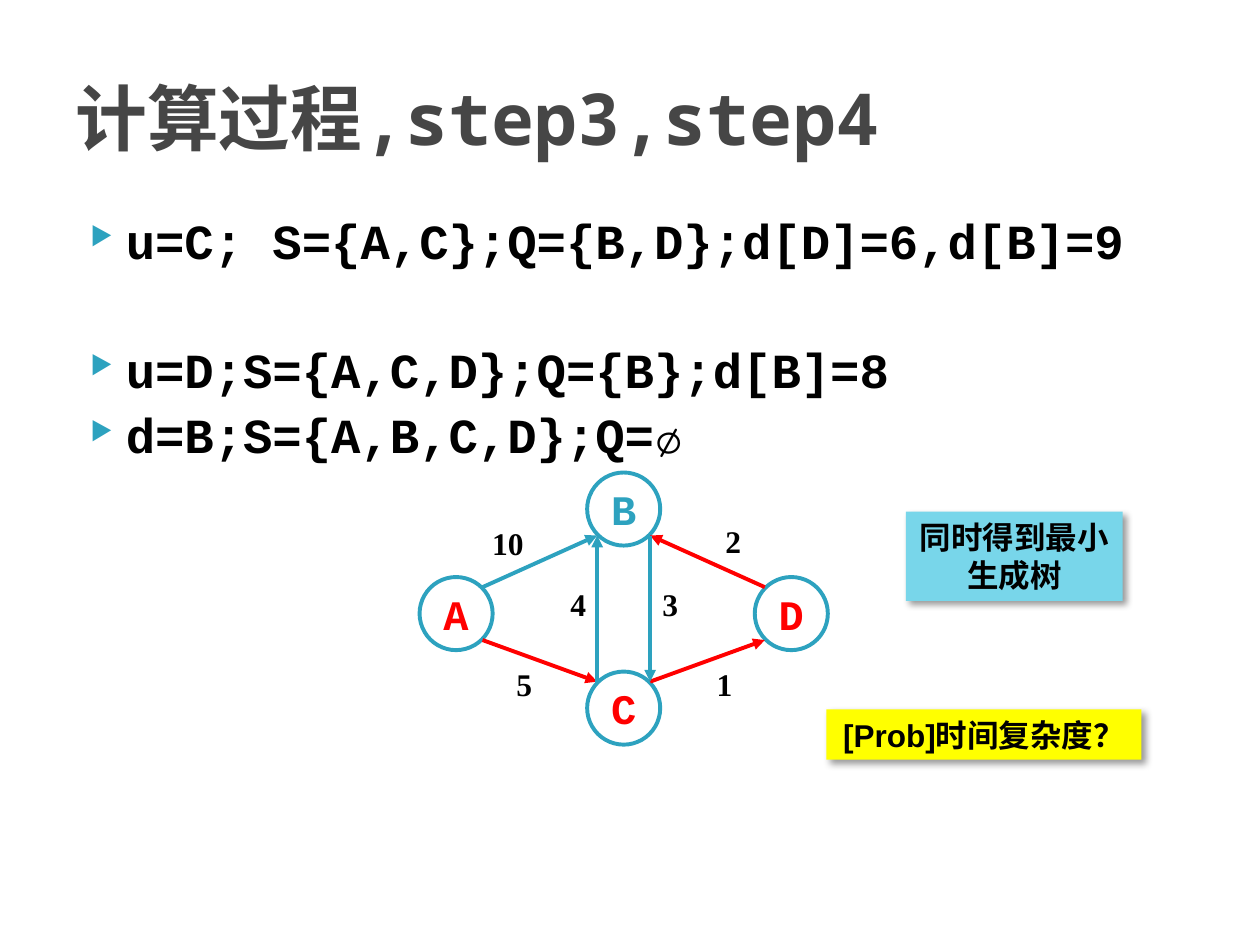
import pptx
import pptx.dml.color
import pptx.enum.shapes
import pptx.enum.text
import pptx.oxml
import pptx.oxml.ns
import pptx.util

Inches, Pt = pptx.util.Inches, pptx.util.Pt
RGBColor = pptx.dml.color.RGBColor
SHAPE = pptx.enum.shapes.MSO_SHAPE
ANCHOR = pptx.enum.text.MSO_ANCHOR
CENTER = pptx.enum.text.PP_ALIGN.CENTER

TEAL = RGBColor(0x2D, 0xA2, 0xBF)
RED = RGBColor(0xFF, 0, 0)
BLACK = RGBColor(0, 0, 0)
WHITE = RGBColor(0xFF, 0xFF, 0xFF)
GREY = RGBColor(0x46, 0x46, 0x46)
YELLOW = RGBColor(0xFF, 0xFF, 0)
SKY = RGBColor(0x78, 0xD6, 0xEA)
CJK_FONT = "Noto Sans CJK SC"


def add_xml(parent, xml):
    """Append the elements written in xml, in the drawing namespace."""
    wrapper = pptx.oxml.parse_xml(f"<a:x {pptx.oxml.ns.nsdecls('a')}>{xml}</a:x>")
    for element in list(wrapper):
        parent.append(element)


def style_text(paragraph, font_name, size, color):
    """Make the runs bold in one font, with a matching East Asian font."""
    for run in paragraph.runs:
        run.font.name = font_name
        run.font.size = Pt(size)
        run.font.bold = True
        run.font.color.rgb = color
        add_xml(run.font._element, f'<a:ea typeface="{CJK_FONT}"/>')


presentation = pptx.Presentation()
presentation.slide_width = Inches(10)
presentation.slide_height = Inches(7.5)
slide = presentation.slides.add_slide(presentation.slide_layouts[6])
shapes = slide.shapes

title = shapes.add_textbox(Inches(0.5), Inches(0.3), Inches(9), Inches(1.25)).text_frame
title.word_wrap = True
title.vertical_anchor = ANCHOR.MIDDLE
title.text = "计算过程,step3,step4"
style_text(title.paragraphs[0], "Noto Sans Mono", 41, GREY)

# Steps of the computation, each with the space before it in points
steps = [
    ("u=C; S={A,C};Q={B,D};d[D]=6,d[B]=9", 0),
    ("u=D;S={A,C,D};Q={B};d[B]=8", 40),
    ("d=B;S={A,B,C,D};Q=∅", 4),
]
body = shapes.add_textbox(Inches(0.5), Inches(1.62), Inches(9), Inches(2.21)).text_frame
body.word_wrap = True
for index, (step, space_before) in enumerate(steps):
    paragraph = body.paragraphs[0] if index == 0 else body.add_paragraph()
    paragraph.text = step
    paragraph.space_before = Pt(space_before)
    properties = paragraph._p.get_or_add_pPr()
    properties.set("marL", str(Inches(0.4)))
    properties.set("indent", str(Inches(-0.28)))
    add_xml(properties, f'<a:buClr><a:srgbClr val="{TEAL}"/></a:buClr>'
                        '<a:buSzPct val="52000"/><a:buChar char="▶"/>')
    style_text(paragraph, "Courier New", 28, BLACK)

# Graph nodes: centre and letter colour
DIAMETER = 0.58
nodes = {
    "B": (4.95, 4.04, TEAL),
    "C": (4.95, 5.62, RED),
    "D": (6.28, 4.87, RED),
    "A": (3.62, 4.87, RED),
}
for name, (x, y, color) in nodes.items():
    node = shapes.add_shape(SHAPE.OVAL, Inches(x - DIAMETER / 2), Inches(y - DIAMETER / 2),
                            Inches(DIAMETER), Inches(DIAMETER))
    node.shadow.inherit = False
    node.fill.solid()
    node.fill.fore_color.rgb = WHITE
    node.line.color.rgb = TEAL
    node.line.width = Pt(2.25)
    node.text_frame.word_wrap = False
    node.text_frame.vertical_anchor = ANCHOR.MIDDLE
    node.text_frame.text = name
    node.text_frame.paragraphs[0].alignment = CENTER
    style_text(node.text_frame.paragraphs[0], "Courier New", 24, color)

# Edges: start node, its side (x, y), end node, its side, colour, weight, label centre
DIAGONAL = 0.21
edges = [
    ("A", (1, -1), "B", (-1, 1), TEAL, "10", (4.03, 4.32)),
    ("A", (1, 1), "C", (-1, -1), RED, "5", (4.16, 5.44)),
    ("C", (1, -1), "D", (-1, 1), RED, "1", (5.75, 5.44)),
    ("D", (-1, -1), "B", (1, 1), RED, "2", (5.82, 4.3)),
    ("C", (-1, -1), "B", (-1, 1), TEAL, "4", (4.59, 4.8)),
    ("B", (1, 1), "C", (1, -1), TEAL, "3", (5.32, 4.8)),
]
for start, start_side, end, end_side, color, weight, (label_x, label_y) in edges:
    ends = [Inches(nodes[name][axis] + DIAGONAL * side[axis])
            for name, side in ((start, start_side), (end, end_side)) for axis in (0, 1)]
    edge = shapes.add_connector(pptx.enum.shapes.MSO_CONNECTOR.STRAIGHT, *ends)
    edge.line.color.rgb = color
    edge.line.width = Pt(2.25)
    add_xml(edge.line._get_or_add_ln(), '<a:tailEnd type="triangle"/>')
    add_xml(edge._element.spPr, "<a:effectLst/>")

    width = 0.2 + 0.14 * len(weight)
    label = shapes.add_textbox(Inches(label_x - width / 2), Inches(label_y - 0.21),
                               Inches(width), Inches(0.42)).text_frame
    label.word_wrap = False
    label.text = weight
    label.paragraphs[0].alignment = CENTER
    style_text(label.paragraphs[0], "Times New Roman", 18, BLACK)

notes = [
    ("[Prob]时间复杂度？", "Arial", YELLOW, 6.56, 5.63, 2.5, 0.4),
    ("同时得到最小生成树", CJK_FONT, SKY, 7.19, 4.06, 1.72, 0.71),
]
for text, font_name, color, left, top, width, height in notes:
    note = shapes.add_shape(SHAPE.RECTANGLE, Inches(left), Inches(top),
                            Inches(width), Inches(height))
    note.fill.solid()
    note.fill.fore_color.rgb = color
    note.line.fill.background()
    add_xml(note._element.spPr,
            f'<a:effectLst><a:outerShdw blurRad="{Pt(4)}" dist="{Pt(3)}" dir="2700000">'
            '<a:srgbClr val="000000"><a:alpha val="40000"/></a:srgbClr>'
            '</a:outerShdw></a:effectLst>')
    note.text_frame.word_wrap = True
    note.text_frame.vertical_anchor = ANCHOR.TOP
    note.text_frame.text = text
    note.text_frame.paragraphs[0].alignment = CENTER
    style_text(note.text_frame.paragraphs[0], font_name, 18, BLACK)

presentation.save("out.pptx")
